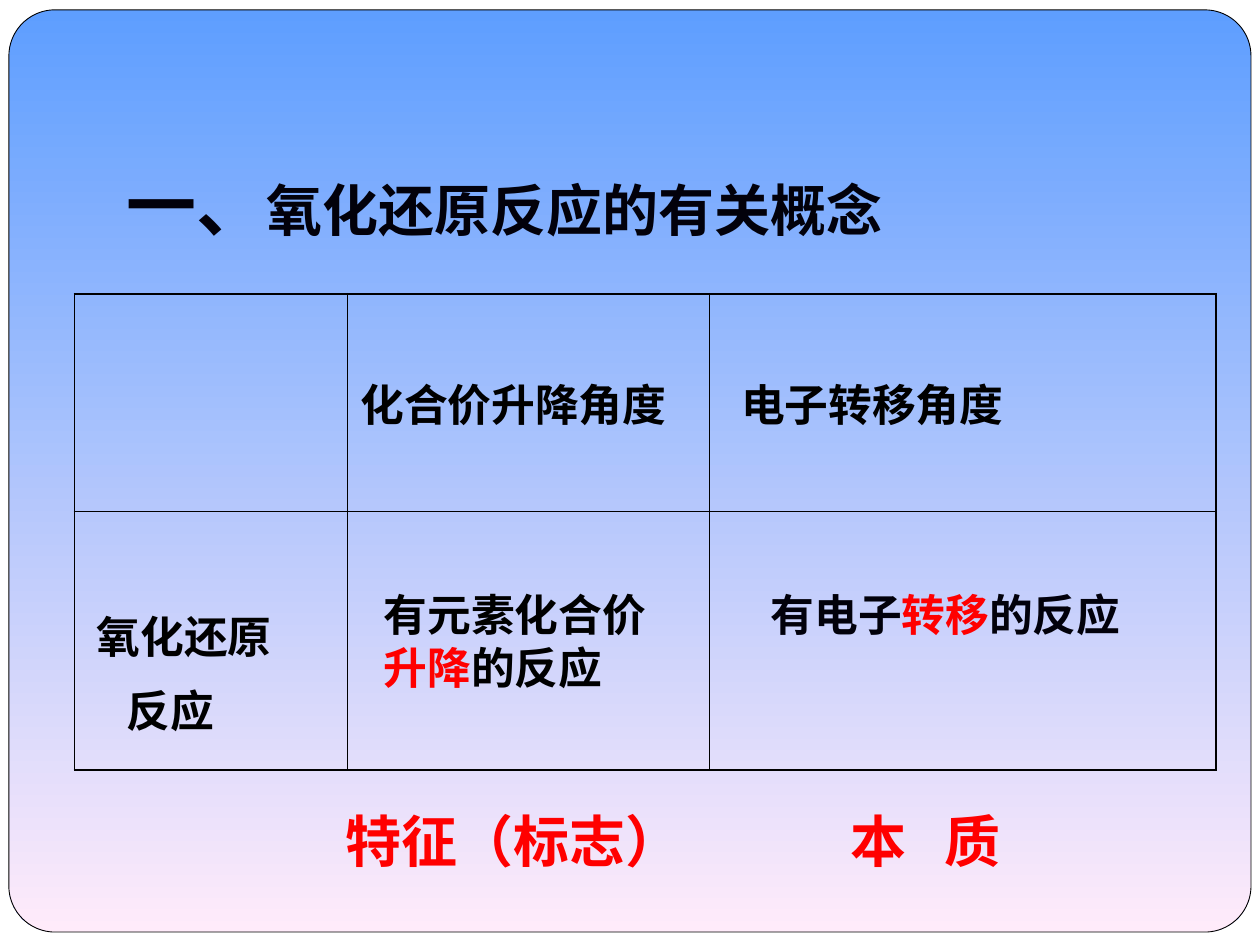
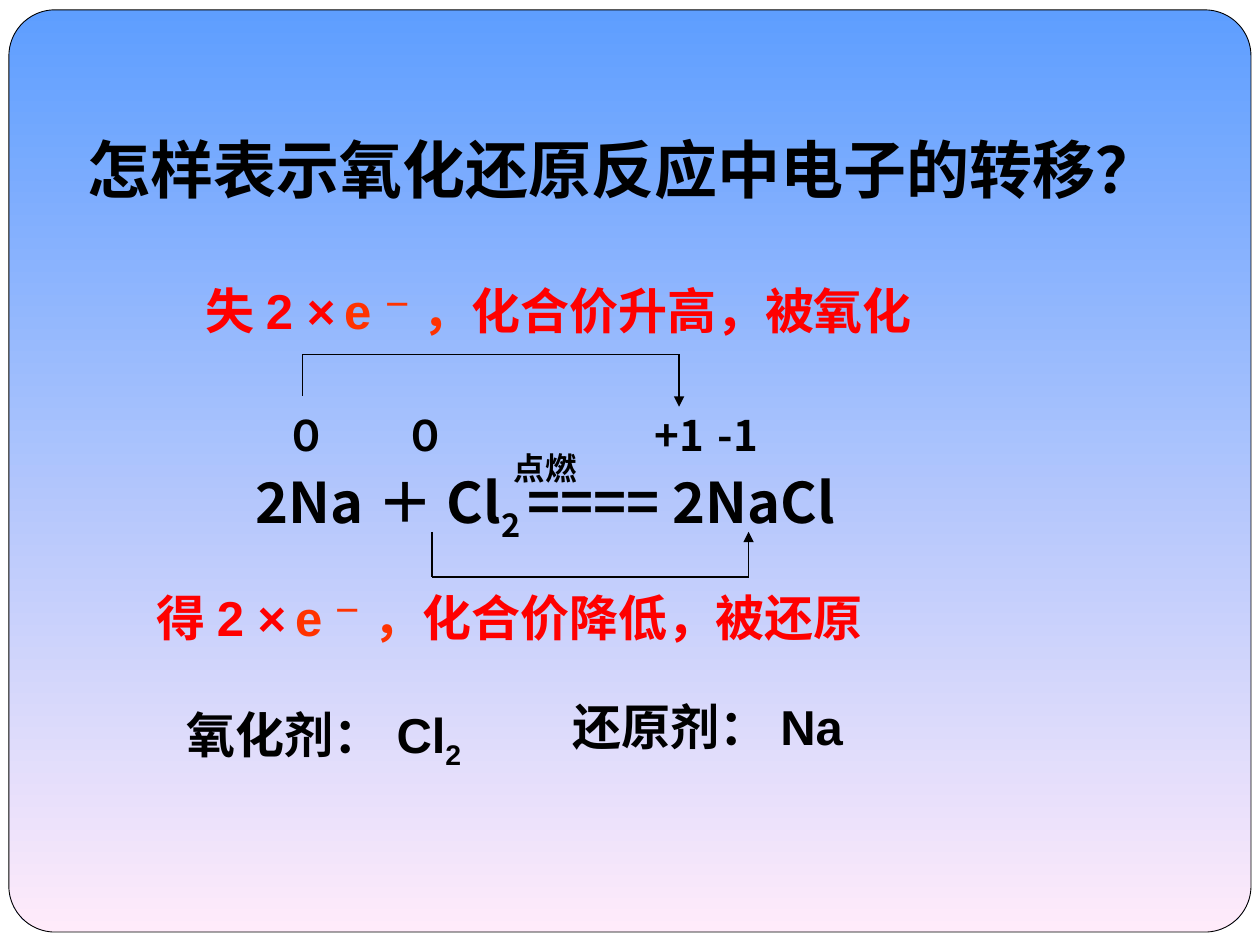
from lxml import etree
from pptx import Presentation
from pptx.dml.color import RGBColor
from pptx.enum.shapes import MSO_CONNECTOR, MSO_SHAPE
from pptx.enum.text import MSO_ANCHOR, MSO_AUTO_SIZE, PP_ALIGN
from pptx.oxml.ns import qn
from pptx.util import Cm, Pt

rgb = RGBColor.from_string
BLACK, INK, RED, ORANGE = "000000", "02010B", "FF0000", "FF3300"
SKY, PINK, WHITE = "5E9EFF", "FFEBFA", "FFFFFF"
CJK, ARIAL, TIMES, KARLA = "Noto Sans CJK SC", "Arial", "Times New Roman", "Karla"


def write(tf, *runs, size, font, color=BLACK, spacing=None, wrap=True, tab=None):
    """Fill the next free paragraph; a run is a string or (text, overrides)."""
    tf.word_wrap = wrap
    p = tf.paragraphs[0] if not tf.paragraphs[0].runs else tf.add_paragraph()
    p.alignment = PP_ALIGN.LEFT
    if spacing:
        p.line_spacing = spacing
    if tab:
        tabs = etree.SubElement(p._p.get_or_add_pPr(), qn("a:tabLst"))
        etree.SubElement(tabs, qn("a:tab"), pos=str(tab), algn="l")
    for run in runs:
        text, own = (run, {}) if isinstance(run, str) else run
        r = p.add_run()
        r.text = text
        r.font.size = Pt(own.get("size", size))
        r.font.bold = own.get("bold", True)
        r.font.name = own.get("font", font)
        r.font.color.rgb = rgb(own.get("color", color))
        etree.SubElement(r.font._element, qn("a:ea"), typeface=CJK)
        if "base" in own:
            r.font._element.set("baseline", str(own["base"] * 1000))
    return p


def set_borders(cell, widths):
    """Widths in points for left, right, top, bottom; 0 hides the side."""
    cell.fill.background()
    tcPr = cell._tc.get_or_add_tcPr()
    for i, (side, width) in enumerate(zip("LRTB", widths)):
        ln = etree.Element(qn(f"a:ln{side}"), w=str(Pt(width)))
        if width:
            fill = etree.SubElement(ln, qn("a:solidFill"))
            etree.SubElement(fill, qn("a:srgbClr"), val=BLACK)
        else:
            etree.SubElement(ln, qn("a:noFill"))
        tcPr.insert(i, ln)


prs = Presentation()
prs.slide_width, prs.slide_height = Cm(25.4), Cm(19.05)
layout = prs.slide_layouts[5]
concepts, transfer = [prs.slides.add_slide(layout) for _ in range(2)]

# Master: white page with a rounded gradient panel
master = prs.slide_master
page = concepts.shapes.add_shape(MSO_SHAPE.RECTANGLE, 0, 0, prs.slide_width, prs.slide_height)
page.fill.solid()
page.fill.fore_color.rgb = rgb(WHITE)
page.line.fill.background()
panel = concepts.shapes.add_shape(
    MSO_SHAPE.ROUNDED_RECTANGLE, Cm(0.18), Cm(0.2), Cm(25.04), Cm(18.59))
panel.adjustments[0] = 0.05
panel.line.color.rgb = rgb(BLACK)
panel.line.width = Pt(0.5)
for fill in (master.background.fill, panel.fill):
    fill.gradient()
    fill.gradient_angle = 270
    for stop, color in zip(fill.gradient_stops, (SKY, PINK)):
        stop.color.rgb = rgb(color)
for i, sp in enumerate((page, panel)):
    sp.shadow.inherit = False
    master.shapes.element.insert(2 + i, sp._element)

# Titles
titles = [
    (concepts, (2.29, 3.12, 17, 1.96), INK, 32,
     [("一、", {"size": 40}), "氧化还原反应的有关概念"]),
    (transfer, (1.5, 2.51, 23.01, 1.78), BLACK, 36, ["怎样表示氧化还原反应中电子的转移？"]),
]
for s, box, color, size, runs in titles:
    title = s.shapes.title
    title.left, title.top, title.width, title.height = map(Cm, box)
    tf = title.text_frame
    tf.vertical_anchor = MSO_ANCHOR.TOP
    tf.auto_size = MSO_AUTO_SIZE.SHAPE_TO_FIT_TEXT
    write(tf, *runs, size=size, font=TIMES, color=color)

# Slide 1: comparison table
frame = concepts.shapes.add_table(2, 3, Cm(1.5), Cm(5.92), Cm(23.01), Cm(9.6))
table = frame.table
table.first_row = table.horz_banding = False
for column, width in zip(table.columns, (5.51, 7.29, 10.21)):
    column.width = Cm(width)
for row, height in zip(table.rows, (4.39, 5.21)):
    row.height = Cm(height)
OUTER, INNER = 1.08, 0.45
for r in range(2):
    for c in range(3):
        cell = table.cell(r, c)
        cell.vertical_anchor = MSO_ANCHOR.MIDDLE
        set_borders(cell, [OUTER if edge else INNER
                           for edge in (c == 0, c == 2, r == 0, r == 1)])
cell_format = {"size": 25, "font": ARIAL}
write(table.cell(0, 1).text_frame, "化合价升降角度", **cell_format)
write(table.cell(0, 2).text_frame, "电子转移角度", **cell_format)
table.cell(0, 2).margin_left = Cm(0.64)
row_head = table.cell(1, 0)
row_head.margin_top = Cm(1.36)
for text, indent, before in (("氧化还原", 0.2, 0), ("反应", 0.8, 6.2)):
    p = write(row_head.text_frame, text, **cell_format)
    p.space_before = Pt(before)
    p._p.get_or_add_pPr().set("marL", str(Cm(indent)))

# Slide 2: brackets showing electron transfer, arrowhead on the last leg
brackets = [
    [(8.71, 10.72), (8.71, 11.63), (15.09, 11.63), (15.09, 10.72)],
    [(6.1, 7.98), (6.1, 7.14), (13.69, 7.14), (13.69, 8.2)],
]
for corners in brackets:
    for start, end in zip(corners, corners[1:]):
        leg = transfer.shapes.add_connector(MSO_CONNECTOR.STRAIGHT, *map(Cm, start + end))
        leg.line.color.rgb = rgb(BLACK)
        leg.line.width = Pt(0.75)
        if end == corners[-1]:
            etree.SubElement(leg.line._get_or_add_ln(), qn("a:tailEnd"), type="triangle")
        etree.SubElement(leg._element.spPr, qn("a:effectLst"))

frame = transfer.shapes.add_table(1, 1, Cm(3.51), Cm(13.92), Cm(6.81), Cm(2.95))
frame.table.first_row = frame.table.horz_banding = False
oxidant = frame.table.cell(0, 0)
set_borders(oxidant, (0, 0, 0, 0))
write(oxidant.text_frame, "氧化剂：Cl", ("2", {"base": -25}), size=28, font=ARIAL)

# Text boxes of both slides
electron = [(" ", {"size": 18, "bold": False}), ("e", {"color": ORANGE}),
            ("－", {"color": ORANGE, "base": 30}), (" ，", {"color": ORANGE})]
red = {"color": RED}
summary = {"size": 32, "font": KARLA, "color": RED}
change = {"size": 28, "font": ARIAL, "color": RED}
valence = {"size": 24, "font": CJK, "wrap": False}
boxes = [
    (concepts, (7.49, 11.73, 6.2, 2.39), ["有元素化合价", ("升降", red), "的反应"],
     {"size": 25, "font": TIMES}),
    (concepts, (15.29, 11.73, 7.8, 1.32), ["有电子", ("转移", red), "的反应"],
     {"size": 25, "font": TIMES, "color": INK}),
    (concepts, (6.71, 16.13, 8, 1.63), ["特征（标志）"], summary),
    (concepts, (16.89, 16.13, 7.01, 1.63), ["本\t质"], {**summary, "tab": Cm(1.9)}),
    (transfer, (4.9, 9.32, 15.01, 1.8),
     ["2Na＋Cl", ("2 ", {"base": -25}), "==== 2NaCl"],
     {"size": 32, "font": CJK, "spacing": 0.9}),
    (transfer, (2.9, 11.71, 16.1, 1.45),
     ["得2 ×", *electron, ("化合价降低，被还原", {"font": CJK})], change),
    (transfer, (3.89, 5.54, 17.3, 1.45),
     ["失2 ×", *electron, ("化合价升高，被氧化", {"font": CJK})], change),
    (transfer, (5.51, 8.13, 1.35, 1.27), ["０"], valence),
    (transfer, (7.9, 8.13, 1.35, 1.27), ["０"], valence),
    (transfer, (12.95, 8.13, 1.52, 1.27), ["+1"], valence),
    (transfer, (14.22, 8.13, 1.52, 1.27), ["-1"], valence),
    (transfer, (11.3, 13.92, 8.61, 2.59), ["还原剂：Na"], {"size": 28, "font": ARIAL}),
    (transfer, (10.11, 8.92, 2.01, 1.02), ["点燃"], {"size": 18, "font": ARIAL}),
]
for s, box, runs, text_format in boxes:
    tf = s.shapes.add_textbox(*map(Cm, box)).text_frame
    write(tf, *runs, **text_format)

prs.save("out.pptx")
